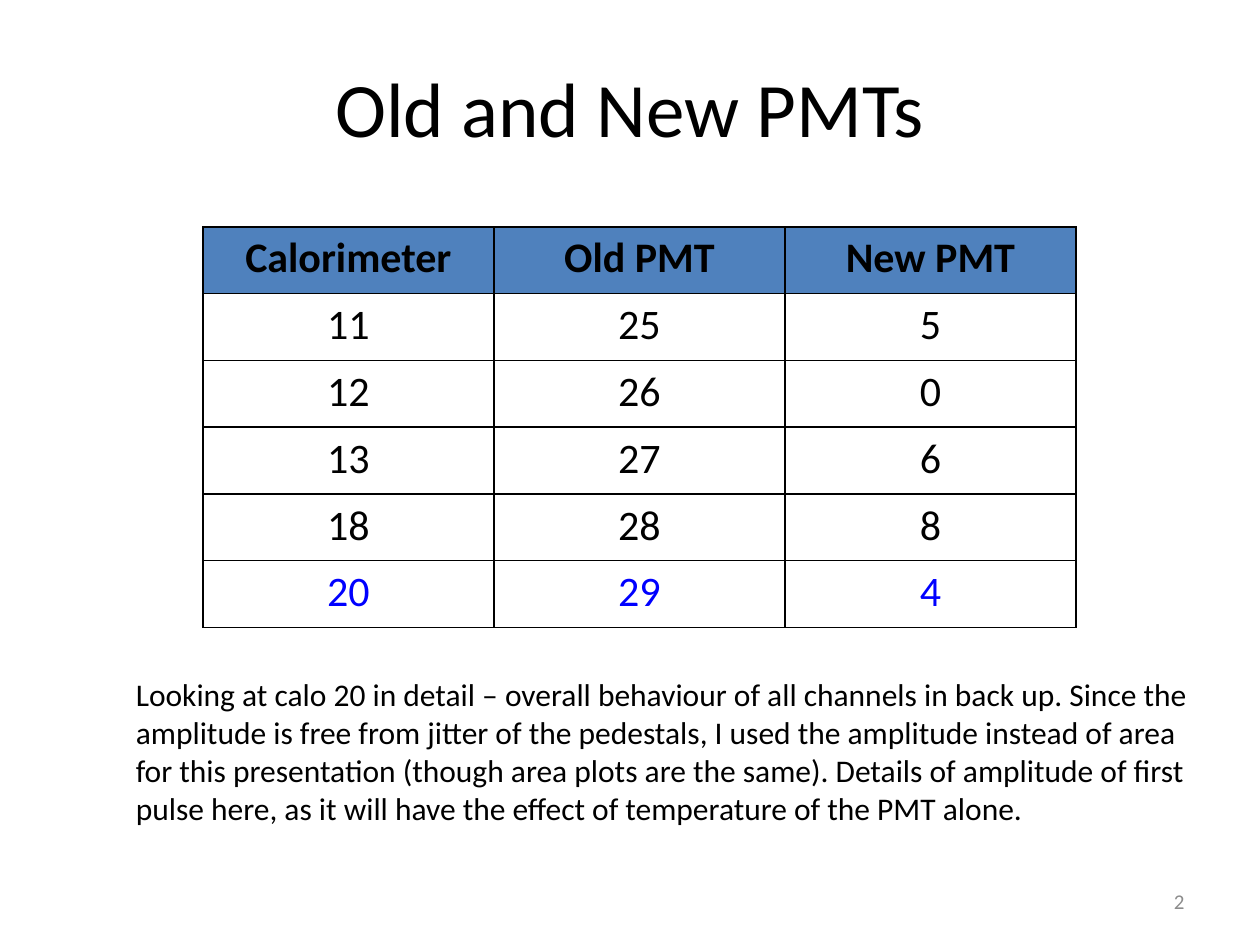
from dataclasses import dataclass

from lxml.etree import SubElement
from pptx import Presentation
from pptx.dml.color import RGBColor
from pptx.enum.text import MSO_ANCHOR, PP_ALIGN
from pptx.oxml.ns import qn
from pptx.util import Inches, Pt


@dataclass(frozen=True)
class Theme:
    font: str = "Calibri"
    ink: str = "000000"
    accent: str = "0000FF"
    muted: str = "8C8C8C"
    header_fill: str = "4F81BD"
    title_size: int = 44
    table_size: int = 24
    body_size: int = 18
    number_size: int = 12
    border: int = 1


THEME = Theme()
TITLE = "Old and New PMTs"
HEADERS = ("Calorimeter", "Old PMT", "New PMT")
CHANNELS = [(11, 25, 5), (12, 26, 0), (13, 27, 6), (18, 28, 8), (20, 29, 4)]
DETAILED_CALO = 20
NOTE = (
    "Looking at calo 20 in detail – overall behaviour of all channels in back up. "
    "Since the amplitude is free from jitter of the pedestals, I used the amplitude "
    "instead of area for this presentation (though area plots are the same). "
    "Details of amplitude of first pulse here, as it will have the effect of "
    "temperature of the PMT alone."
)
PAGE = "2"

SLIDE_W, SLIDE_H = 10, 7.5
TABLE_LEFT, TABLE_TOP = 1.61, 1.8
COL_W, ROW_H = 2.31, 0.53


def write(tf, text, size, color, align=PP_ALIGN.LEFT, bold=False):
    tf.text = text
    p = tf.paragraphs[0]
    p.alignment = align
    font = p.runs[0].font
    font.name, font.size, font.bold = THEME.font, Pt(size), bold
    font.color.rgb = RGBColor.from_string(color)


def add_text(s, box, text, size, color, align=PP_ALIGN.LEFT, anchor=MSO_ANCHOR.TOP):
    tf = s.shapes.add_textbox(*map(Inches, box)).text_frame
    tf.word_wrap = True
    tf.vertical_anchor = anchor
    write(tf, text, size, color, align)


def set_borders(cell):
    tc_pr = cell._tc.get_or_add_tcPr()
    for i, side in enumerate(("a:lnL", "a:lnR", "a:lnT", "a:lnB")):
        ln = SubElement(tc_pr, qn(side), w=str(Pt(THEME.border)))
        SubElement(SubElement(ln, qn("a:solidFill")), qn("a:srgbClr"), val=THEME.ink)
        tc_pr.insert(i, ln)  # borders must precede the fill


def add_pmt_table(s):
    rows = [HEADERS, *CHANNELS]
    n_rows, n_cols = len(rows), len(HEADERS)
    table = s.shapes.add_table(
        n_rows, n_cols, Inches(TABLE_LEFT), Inches(TABLE_TOP),
        Inches(n_cols * COL_W), Inches(n_rows * ROW_H),
    ).table
    table.horz_banding = False
    for col in table.columns:
        col.width = Inches(COL_W)
    for r, values in enumerate(rows):
        table.rows[r].height = Inches(ROW_H)
        header = r == 0
        color = THEME.accent if values[0] == DETAILED_CALO else THEME.ink
        for c, value in enumerate(values):
            cell = table.cell(r, c)
            if header:
                cell.fill.solid()
                cell.fill.fore_color.rgb = RGBColor.from_string(THEME.header_fill)
            else:
                cell.fill.background()
            set_borders(cell)
            write(cell.text_frame, str(value), THEME.table_size, color,
                  PP_ALIGN.CENTER, header)


def main():
    prs = Presentation()
    prs.slide_width, prs.slide_height = Inches(SLIDE_W), Inches(SLIDE_H)
    s = prs.slides.add_slide(prs.slide_layouts[6])
    add_text(s, (0.75, 0.04, 8.5, 1.61), TITLE, THEME.title_size, THEME.ink,
             PP_ALIGN.CENTER, MSO_ANCHOR.MIDDLE)
    add_pmt_table(s)
    add_text(s, (0.98, 5.31, 8.64, 1.31), NOTE, THEME.body_size, THEME.ink)
    add_text(s, (7.17, 6.95, 2.33, 0.4), PAGE, THEME.number_size, THEME.muted,
             PP_ALIGN.RIGHT, MSO_ANCHOR.MIDDLE)
    prs.save("out.pptx")


if __name__ == "__main__":
    main()
